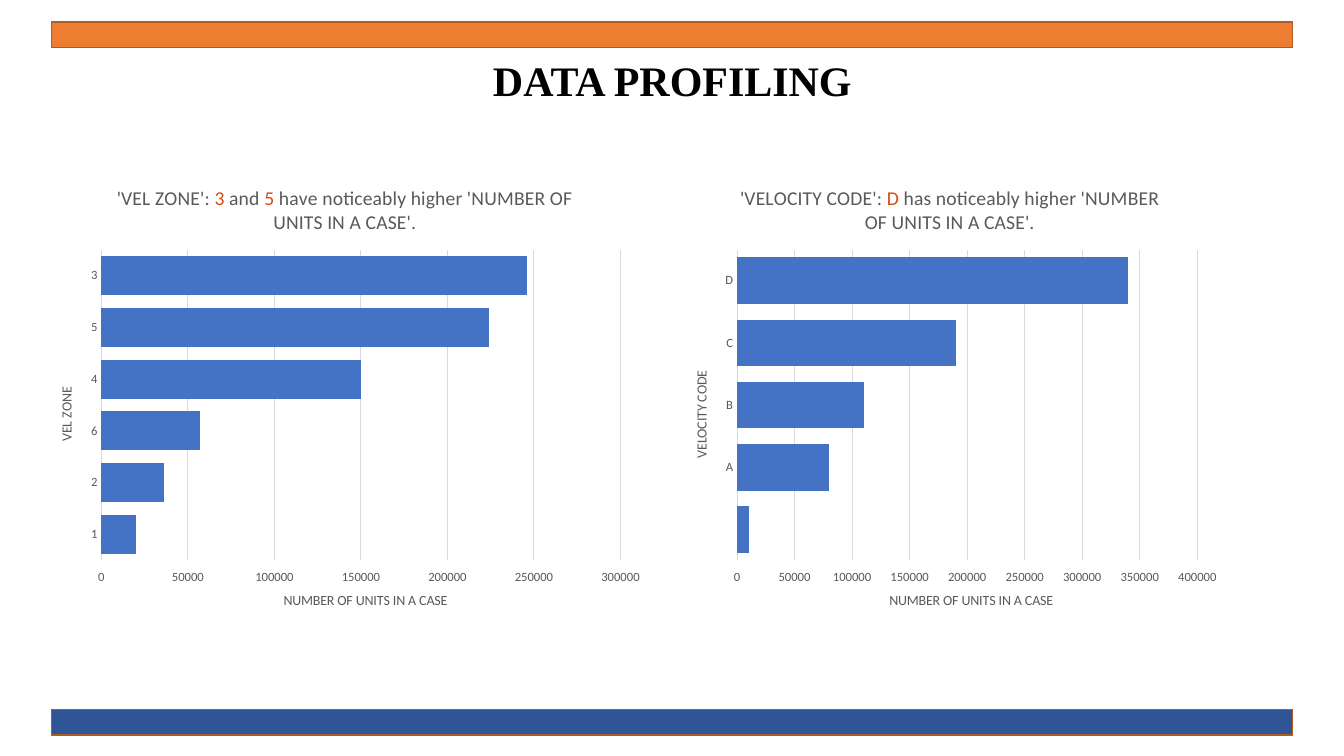
from lxml.etree import SubElement
from pptx import Presentation
from pptx.chart.data import CategoryChartData
from pptx.dml.color import RGBColor
from pptx.enum.chart import XL_CHART_TYPE, XL_TICK_LABEL_POSITION, XL_TICK_MARK
from pptx.enum.shapes import MSO_SHAPE
from pptx.enum.text import MSO_ANCHOR, PP_ALIGN
from pptx.oxml.ns import qn
from pptx.util import Inches, Pt

COLORS = {
    "orange": "ED7D31", "navy": "2F5597", "edge": "AF5C24", "black": "000000",
    "bar": "4472C4", "grey": "595959", "grid": "D9D9D9", "accent": "D24E10",
}
UNITS = "NUMBER OF UNITS IN A CASE"


def color(name):
    return RGBColor.from_string(COLORS[name])


def style_font(font, size, name, face="Calibri", bold=False):
    font.size = Pt(size)
    font.name = face
    font.bold = bold
    font.color.rgb = color(name)


def set_layout(element, **shares):
    """Place a chart part by shares of the chart's size."""
    layout = element.find(qn("c:layout"))
    if layout is not None:
        element.remove(layout)
    manual_parent = SubElement(element, qn("c:layout"))
    manual = SubElement(manual_parent, qn("c:manualLayout"))
    if "w" in shares:
        SubElement(manual, qn("c:layoutTarget")).set("val", "inner")
    for key in ("x", "y"):
        SubElement(manual, qn(f"c:{key}Mode")).set("val", "edge")
    for key, share in shares.items():
        SubElement(manual, qn(f"c:{key}")).set("val", str(share))
    text = element.find(qn("c:tx"))
    element.insert(0 if text is None else 1, manual_parent)


def write_chart_title(title, runs, size, spot):
    para = title.text_frame.paragraphs[0]
    for text, name in runs:
        span = para.add_run()
        span.text = text
        style_font(span.font, size, name)
    set_layout(title._element, x=spot[0], y=spot[1])


def add_band(page, box, fill):
    band = page.shapes.add_shape(MSO_SHAPE.RECTANGLE, *map(Inches, box))
    band.shadow.inherit = False
    band.fill.solid()
    band.fill.fore_color.rgb = color(fill)
    band.line.color.rgb = color("edge")
    band.line.width = Pt(1)


def add_heading(page, box, text):
    title = page.shapes.title
    title.left, title.top, title.width, title.height = map(Inches, box)
    title.text_frame.vertical_anchor = MSO_ANCHOR.MIDDLE
    para = title.text_frame.paragraphs[0]
    para.alignment = PP_ALIGN.CENTER
    para.line_spacing = 0.9
    span = para.add_run()
    span.text = text
    style_font(span.font, 30, "black", "Times New Roman", True)


def style_axis(axis, title, spot):
    axis.major_tick_mark = axis.minor_tick_mark = XL_TICK_MARK.NONE
    style_font(axis.tick_labels.font, 9, "grey")
    write_chart_title(axis.axis_title, [(title, "grey")], 10, spot)


def add_bar_chart(page, box, kind, values, overlap, maximum, heading, label,
                  plot, spots):
    data = CategoryChartData()
    data.categories = list(values)
    data.add_series("Series 1", list(values.values()))
    chart = page.shapes.add_chart(kind, *map(Inches, box), data).chart
    chart.has_legend = False
    style_font(chart.font, 10, "black")
    chart.has_title = True
    write_chart_title(chart.chart_title, heading, 14, spots[0])

    # Bars
    bars = chart.plots[0]
    bars.vary_by_categories = False
    bars.gap_width, bars.overlap = 33, overlap
    fill = bars.series[0].format.fill
    fill.solid()
    fill.fore_color.rgb = color("bar")

    # Axes: first category on top, values along the bottom
    categories, amounts = chart.category_axis, chart.value_axis
    style_axis(categories, label, spots[1])
    style_axis(amounts, UNITS, spots[2])
    categories.reverse_order = True
    amounts.tick_label_position = XL_TICK_LABEL_POSITION.HIGH
    amounts.minimum_scale, amounts.maximum_scale = 0, maximum
    amounts.major_unit = 50000
    amounts.tick_labels.number_format = "General"
    amounts.tick_labels.number_format_is_linked = False
    amounts.format.line.fill.background()
    amounts.has_major_gridlines = True
    for line in (categories.format.line, amounts.major_gridlines.format.line):
        line.color.rgb = color("grid")
        line.width = Pt(0.75)
    plot_area = chart._chartSpace.chart.plotArea
    set_layout(plot_area, x=plot[0], y=0.178, w=plot[1], h=0.672)


def main():
    deck = Presentation()
    deck.slide_width, deck.slide_height = Inches(13.33), Inches(7.5)
    page = deck.slides.add_slide(deck.slide_layouts[5])

    add_heading(page, (0.92, 0.4, 11.5, 0.85), "DATA PROFILING")
    for top, fill in ((0.22, "orange"), (7.04, "navy")):
        add_band(page, (0.51, top, 12.31, 0.25), fill)

    add_bar_chart(
        page, (0.36, 1.66, 6.1, 4.59), XL_CHART_TYPE.BAR_STACKED,
        {"3": 246000, "5": 224000, "4": 150000, "6": 57000, "2": 36000, "1": 20000},
        100, 300000,
        [("'VEL ZONE': ", "grey"), ("3", "accent"), (" and ", "grey"), ("5", "accent"),
         (f" have noticeably higher '{UNITS}'.", "grey")],
        "VEL ZONE", (0.106, 0.844), ((0.126, 0.03), (0.03, 0.47), (0.398, 0.911)))
    add_bar_chart(
        page, (6.67, 1.66, 5.52, 4.59), XL_CHART_TYPE.BAR_CLUSTERED,
        {"D": 340000, "C": 190000, "B": 110000, "A": 80000, "": 10000},
        -30, 400000,
        [("'VELOCITY CODE': ", "grey"), ("D", "accent"),
         (f" has noticeably higher '{UNITS}'.", "grey")],
        "VELOCITY CODE", (0.116, 0.827), ((0.116, 0.03), (0.031, 0.434), (0.385, 0.911)))

    deck.save("out.pptx")


if __name__ == "__main__":
    main()
